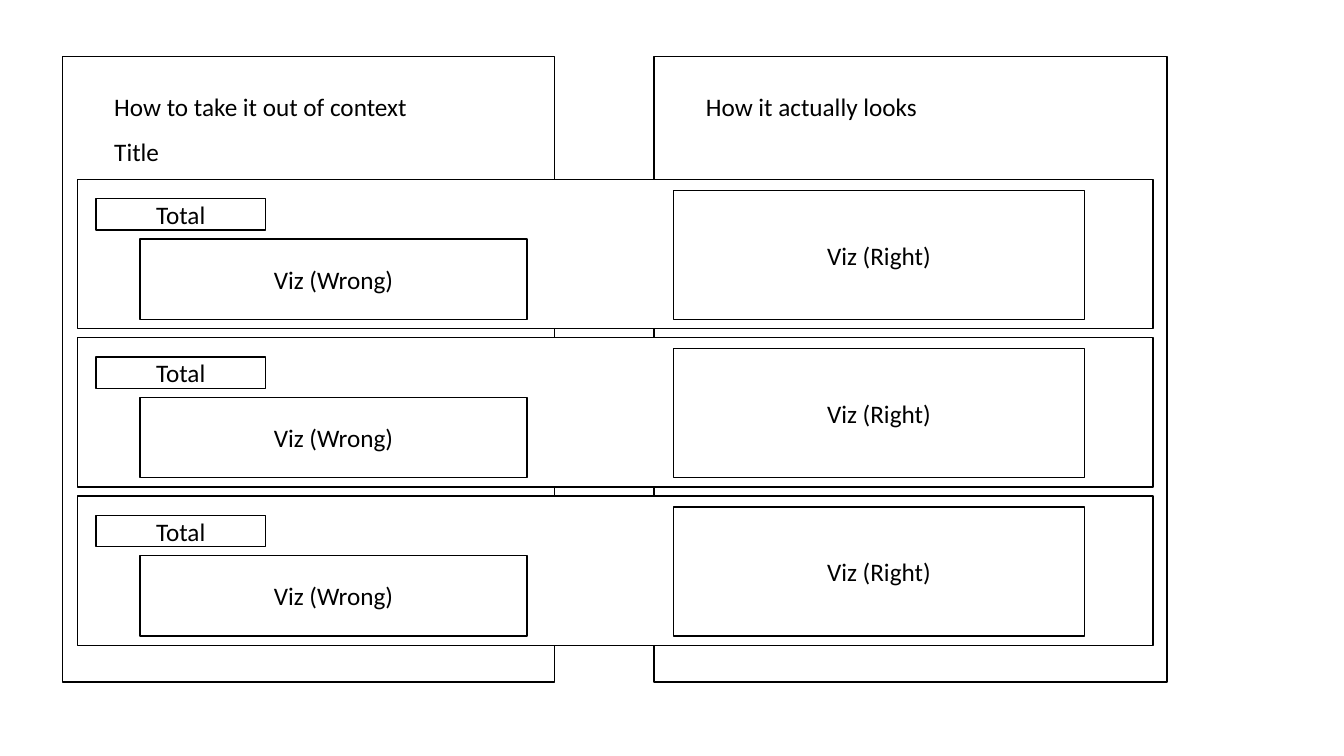
from dataclasses import dataclass

from pptx import Presentation
from pptx.dml.color import RGBColor
from pptx.enum.shapes import MSO_SHAPE
from pptx.enum.text import MSO_ANCHOR, MSO_AUTO_SIZE, PP_ALIGN
from pptx.util import Cm, Pt


@dataclass(frozen=True)
class Theme:
    ink: RGBColor = RGBColor(0, 0, 0)
    paper: RGBColor = RGBColor(255, 255, 255)
    font: str = "Calibri"
    text_size: Pt = Pt(18)
    line_width: Pt = Pt(1)


@dataclass(frozen=True)
class Box:
    left: float
    top: float
    width: float
    height: float

    def inner(self, left, top, width, height):
        return Box(self.left + left, self.top + top, width, height)

    def lengths(self):
        return [Cm(value) for value in (self.left, self.top, self.width, self.height)]


THEME = Theme()
ROW_COUNT = 3
ROW_PITCH = 3.99


def write(shape, text, alignment):
    shape.text_frame.text = text
    para = shape.text_frame.paragraphs[0]
    para.alignment = alignment
    for span in para.runs:
        span.font.name = THEME.font
        span.font.size = THEME.text_size
        span.font.color.rgb = THEME.ink


def add_frame(page, box, text=None):
    frame = page.shapes.add_shape(MSO_SHAPE.RECTANGLE, *box.lengths())
    frame.shadow.inherit = False
    frame.fill.solid()
    frame.fill.fore_color.rgb = THEME.paper
    frame.line.color.rgb = THEME.ink
    frame.line.width = THEME.line_width
    if text:
        frame.text_frame.vertical_anchor = MSO_ANCHOR.MIDDLE
        write(frame, text, PP_ALIGN.CENTER)


def add_label(page, box, text):
    label = page.shapes.add_textbox(*box.lengths())
    label.text_frame.word_wrap = True
    label.text_frame.auto_size = MSO_AUTO_SIZE.SHAPE_TO_FIT_TEXT
    write(label, text, PP_ALIGN.LEFT)


def add_column(page, box, heading, subtitle=None):
    add_frame(page, box)
    add_label(page, box.inner(1.06, 0.76, box.width - 1.9, 1.02), heading)
    if subtitle:
        add_label(page, box.inner(1.06, 1.9, 9.22, 1.02), subtitle)


def add_comparison_row(page, box):
    add_frame(page, box)
    add_frame(page, box.inner(0.46, 0.49, 4.27, 0.79), "Total")
    add_frame(page, box.inner(1.57, 1.5, 9.75, 2.03), "Viz (Wrong)")
    add_frame(page, box.inner(15.01, 0.28, 10.36, 3.25), "Viz (Right)")


def add_comparison_slide(deck):
    page = deck.slides.add_slide(deck.slide_layouts[6])
    add_column(page, Box(1.57, 1.42, 12.4, 15.77), "How to take it out of context", "Title")
    add_column(page, Box(16.48, 1.42, 12.93, 15.77), "How it actually looks")
    first_row = Box(1.96, 4.52, 27.1, 3.76)
    for index in range(ROW_COUNT):
        add_comparison_row(
            page, first_row.inner(0, index * ROW_PITCH, first_row.width, first_row.height)
        )


def main():
    deck = Presentation()
    deck.slide_width = Cm(33.87)
    deck.slide_height = Cm(19.05)
    add_comparison_slide(deck)
    deck.save("out.pptx")


if __name__ == "__main__":
    main()
